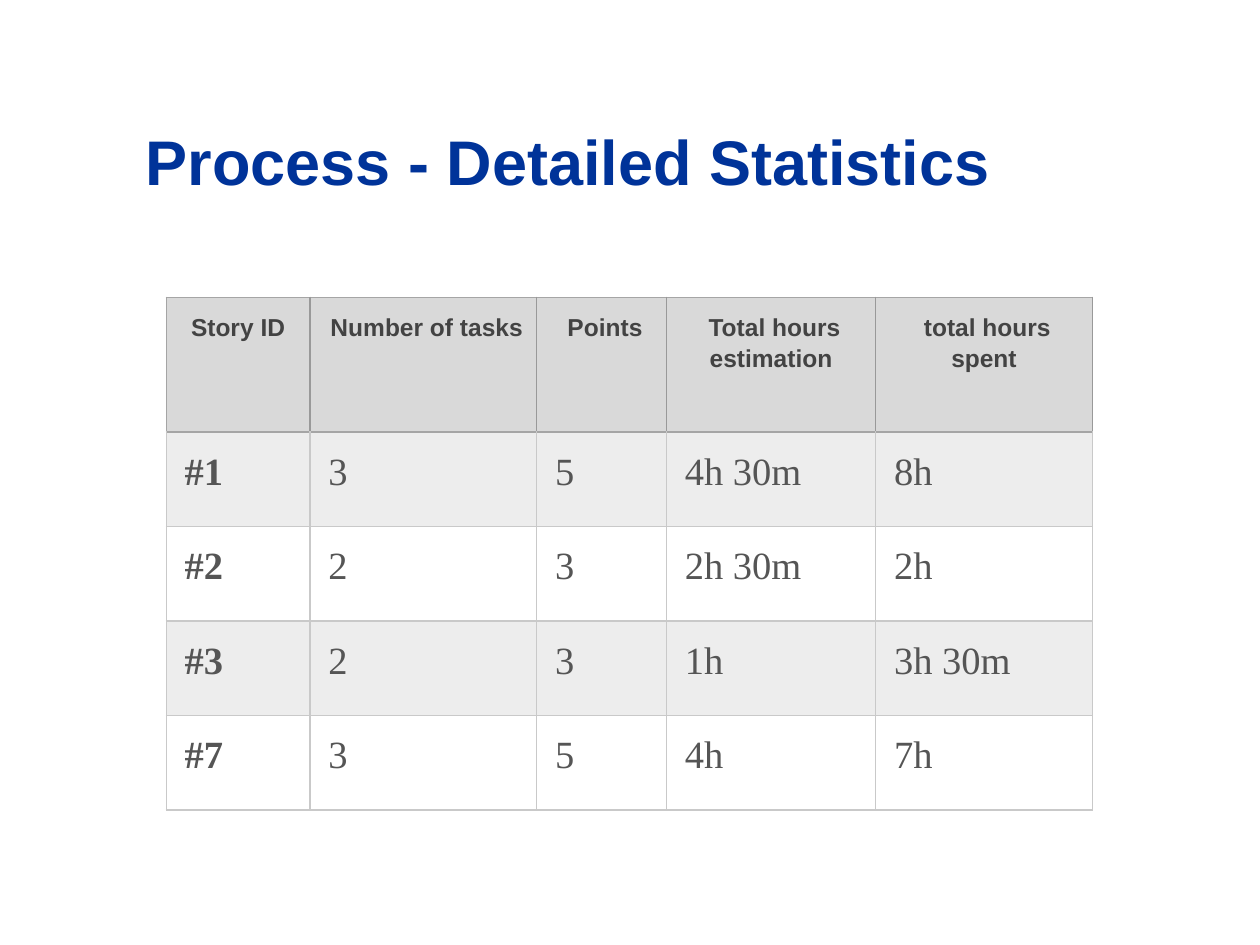
from dataclasses import dataclass

from lxml.etree import SubElement
from pptx import Presentation
from pptx.dml.color import RGBColor
from pptx.enum.text import MSO_ANCHOR, PP_ALIGN
from pptx.oxml.ns import qn
from pptx.util import Inches, Pt


@dataclass(frozen=True)
class Theme:
    title_color: str = "003399"
    header_color: str = "434343"
    body_color: str = "555555"
    header_fill: str = "D9D9D9"
    band_fill: str = "EDEDED"
    plain_fill: str = "FFFFFF"
    header_edge: str = "A5A5A5"
    header_divider: str = "999999"
    body_edge: str = "C9C9C9"
    title_size: int = 36
    header_size: int = 14
    body_size: int = 22
    heading_font: str = "Arial"
    body_font: str = "Times New Roman"


theme = Theme()


def add_text(paragraph, text, font_name, size, color, bold):
    run = paragraph.add_run()
    run.text = text
    run.font.name = font_name
    run.font.size = Pt(size)
    run.font.bold = bold
    run.font.color.rgb = RGBColor.from_string(color)


def add_border(cell, side, color, width):
    line = SubElement(cell._tc.get_or_add_tcPr(), qn(f"a:ln{side}"), w=str(Pt(width)))
    fill = SubElement(line, qn("a:solidFill"))
    SubElement(fill, qn("a:srgbClr"), val=color)


prs = Presentation()
prs.slide_width = Inches(10)
prs.slide_height = Inches(7.5)
slide = prs.slides.add_slide(prs.slide_layouts[6])

title = slide.shapes.add_textbox(Inches(1.06), Inches(0.99), Inches(7.88), Inches(0.56))
title.text_frame.word_wrap = True
title.text_frame.vertical_anchor = MSO_ANCHOR.MIDDLE
add_text(title.text_frame.paragraphs[0], "Process - Detailed Statistics",
         theme.heading_font, theme.title_size, theme.title_color, True)

statistics = [
    ["Story ID", " Number of tasks", " Points", " Total hours estimation", " total hours spent"],
    [" #1", " 3", " 5", " 4h 30m", " 8h"],
    [" #2", " 2", " 3", " 2h 30m", " 2h"],
    [" #3", " 2", " 3", " 1h", " 3h 30m"],
    [" #7", " 3", " 5", " 4h", " 7h"],
]
column_widths = [1.14, 1.8, 1.03, 1.66, 1.72]
row_heights = [1.07] + [0.75] * 4

table = slide.shapes.add_table(
    len(row_heights), len(column_widths), Inches(1.32), Inches(2.36),
    Inches(sum(column_widths)), Inches(sum(row_heights))).table
for column, width in zip(table.columns, column_widths):
    column.width = Inches(width)
for row, height in zip(table.rows, row_heights):
    row.height = Inches(height)

for row_index, row_values in enumerate(statistics):
    is_header = row_index == 0
    for column_index, value in enumerate(row_values):
        cell = table.cell(row_index, column_index)
        cell.margin_left = cell.margin_right = Inches(0.07)
        cell.margin_top = cell.margin_bottom = Inches(0.1)

        paragraph = cell.text_frame.paragraphs[0]
        paragraph.line_spacing = 1.15
        paragraph.space_before = Pt(12)
        if is_header:
            paragraph.alignment = PP_ALIGN.CENTER
            add_text(paragraph, value, theme.heading_font, theme.header_size,
                     theme.header_color, True)
            edge, divider = (theme.header_edge, 1), (theme.header_divider, 0.75)
            borders = {"L": divider if column_index else edge,
                       "R": divider, "T": edge, "B": edge}
            fill_color = theme.header_fill
        else:
            paragraph.alignment = PP_ALIGN.LEFT
            add_text(paragraph, value, theme.body_font, theme.body_size,
                     theme.body_color, column_index == 0)
            borders = dict.fromkeys("LRTB", (theme.body_edge, 1))
            if row_index == 1:
                borders["T"] = (theme.header_edge, 1)
            fill_color = theme.band_fill if row_index % 2 else theme.plain_fill

        for side, (color, width) in borders.items():
            add_border(cell, side, color, width)
        cell.fill.solid()
        cell.fill.fore_color.rgb = RGBColor.from_string(fill_color)

prs.save("out.pptx")
